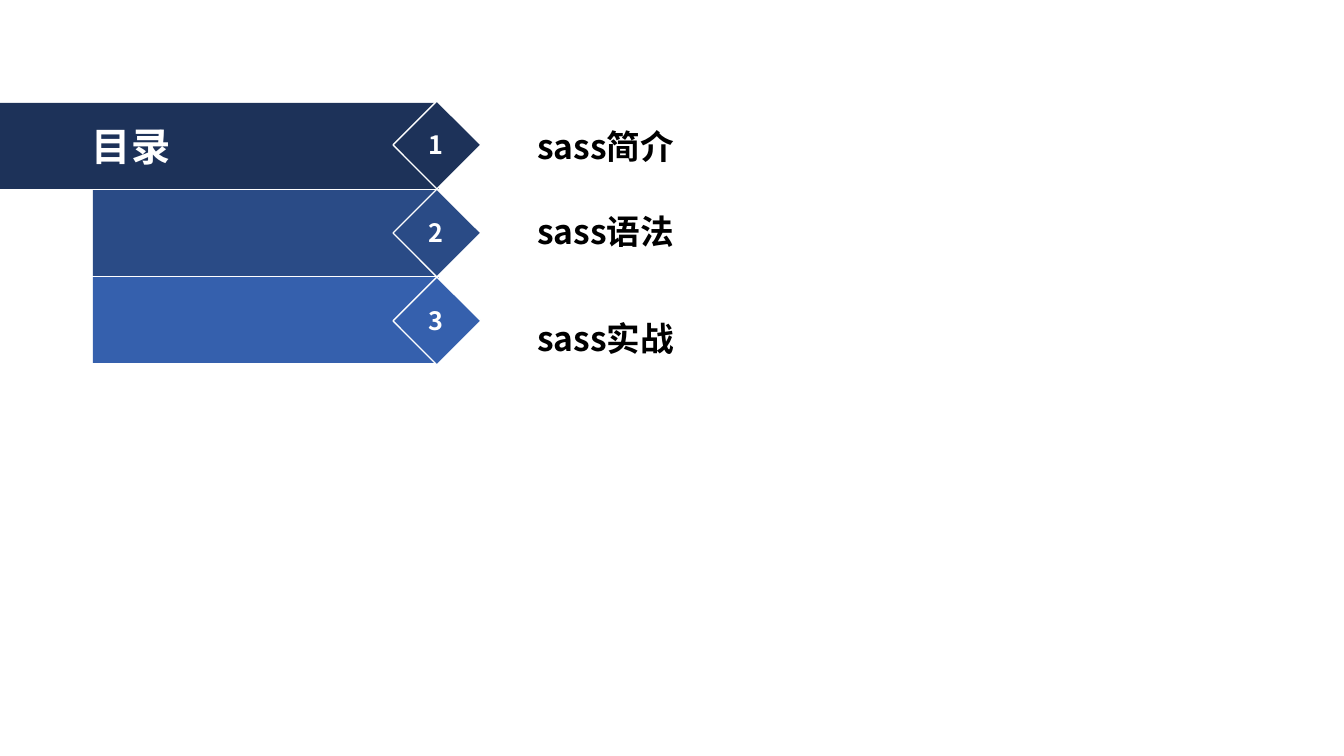
from pptx import Presentation
from pptx.dml.color import RGBColor
from pptx.enum.shapes import MSO_SHAPE
from pptx.enum.text import MSO_ANCHOR, MSO_AUTO_SIZE, PP_ALIGN
from pptx.oxml.ns import qn
from pptx.util import Inches, Pt
from lxml import etree

PX = 914400 / 100.8
FONT = "Noto Sans CJK SC"
C = {"navy": "1D3259", "blue": "2A4B86", "light": "3560AD",
     "white": "FFFFFF", "black": "000000"}


def box(shapes, kind, x, y, w, h, fill, line=None):
    sp = shapes.add_shape(kind, *(round(v * PX) for v in (x, y, w, h)))
    sp.shadow.inherit = False
    sp.fill.solid()
    sp.fill.fore_color.rgb = RGBColor.from_string(C[fill])
    if line:
        sp.line.color.rgb = RGBColor.from_string(C[line])
        sp.line.width = Pt(1)
    else:
        sp.line.fill.background()


def text(shapes, txt, x, y, w, h, size, color="black", align=PP_ALIGN.LEFT,
         anchor=MSO_ANCHOR.TOP, spacing=None):
    tb = shapes.add_textbox(*(round(v * PX) for v in (x, y, w, h)))
    tf = tb.text_frame
    tf.word_wrap = True
    tf.auto_size = MSO_AUTO_SIZE.SHAPE_TO_FIT_TEXT
    tf.vertical_anchor = anchor
    tf.margin_left = tf.margin_right = tf.margin_top = tf.margin_bottom = Inches(0.05)
    p = tf.paragraphs[0]
    p.alignment = align
    p.line_spacing = spacing
    r = p.add_run()
    r.text = txt
    r.font.name = FONT
    r.font.size = Pt(size)
    r.font.bold = True
    r.font.color.rgb = RGBColor.from_string(C[color])
    etree.SubElement(r.font._element, qn("a:ea"), typeface=FONT)


prs = Presentation()
prs.slide_width, prs.slide_height = round(1344 * PX), round(756 * PX)
s = prs.slides.add_slide(prs.slide_layouts[6])

# Agenda rows: color, bar left, label, label top, label width, line spacing
rows = [
    ("navy", 0, "sass简介", 101, 351, 1.5),
    ("blue", 93, "sass语法", 206, 327, None),
    ("light", 93, "sass实战", 293, 551, 1.5),
]
for i, (color, left, label, top, width, spacing) in enumerate(rows):
    # Bar
    box(s.shapes, MSO_SHAPE.RECTANGLE, left, 103 + 87 * i, 439 - left, 86, color)
    # Numbered diamond
    badge = s.shapes.add_group_shape().shapes
    box(badge, MSO_SHAPE.DIAMOND, 393, 101 + 88 * i, 88, 88, color, line="white")
    text(badge, str(i + 1), 419, 124 + 88 * i, 34, 41, 18, color="white",
         align=PP_ALIGN.CENTER, anchor=MSO_ANCHOR.MIDDLE)
    # Label
    text(s.shapes, label, 532, top, width, 56, 24, spacing=spacing)

# Title
text(s.shapes, "目录", 87, 117, 152, 67, 28, color="white")

prs.save("out.pptx")
